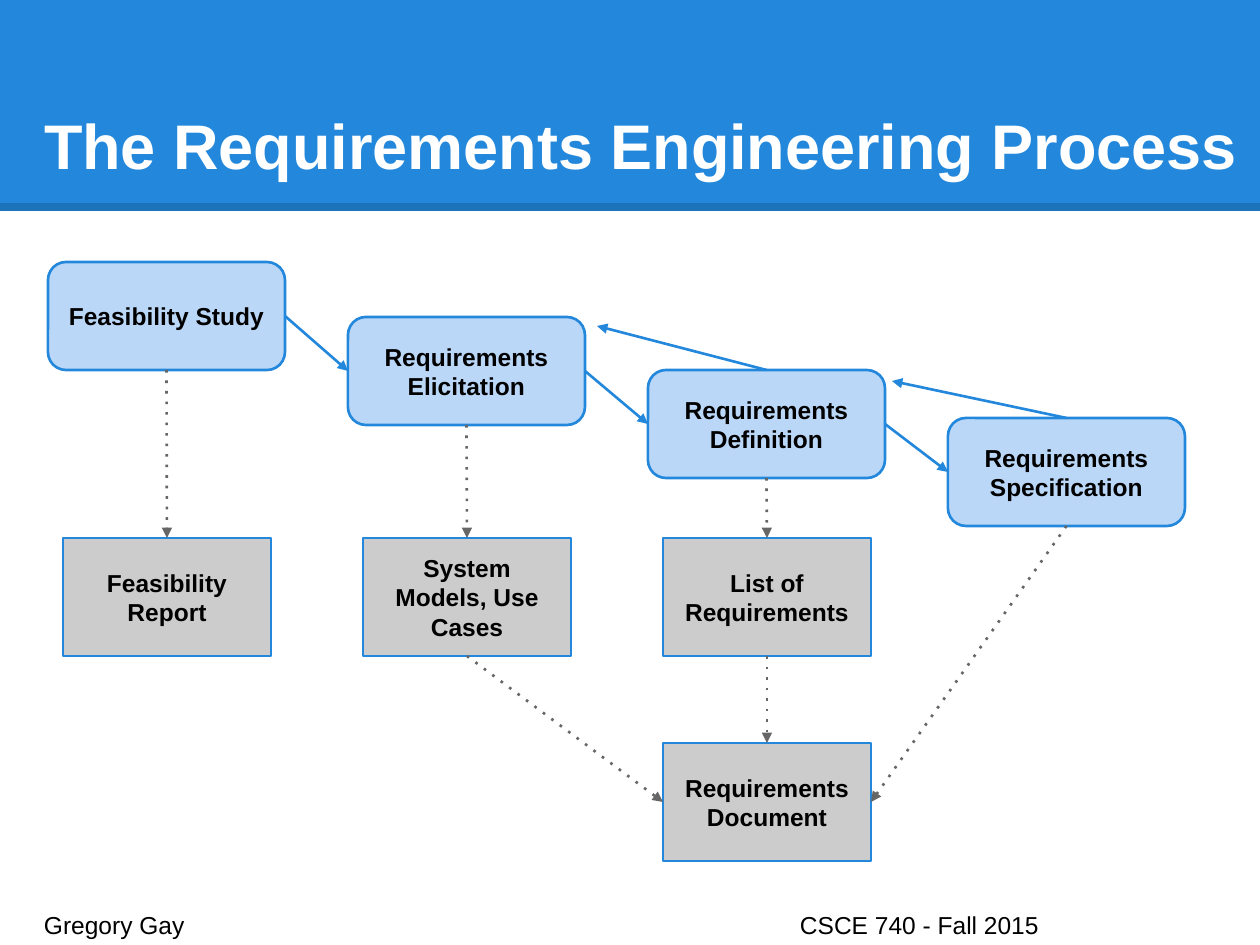
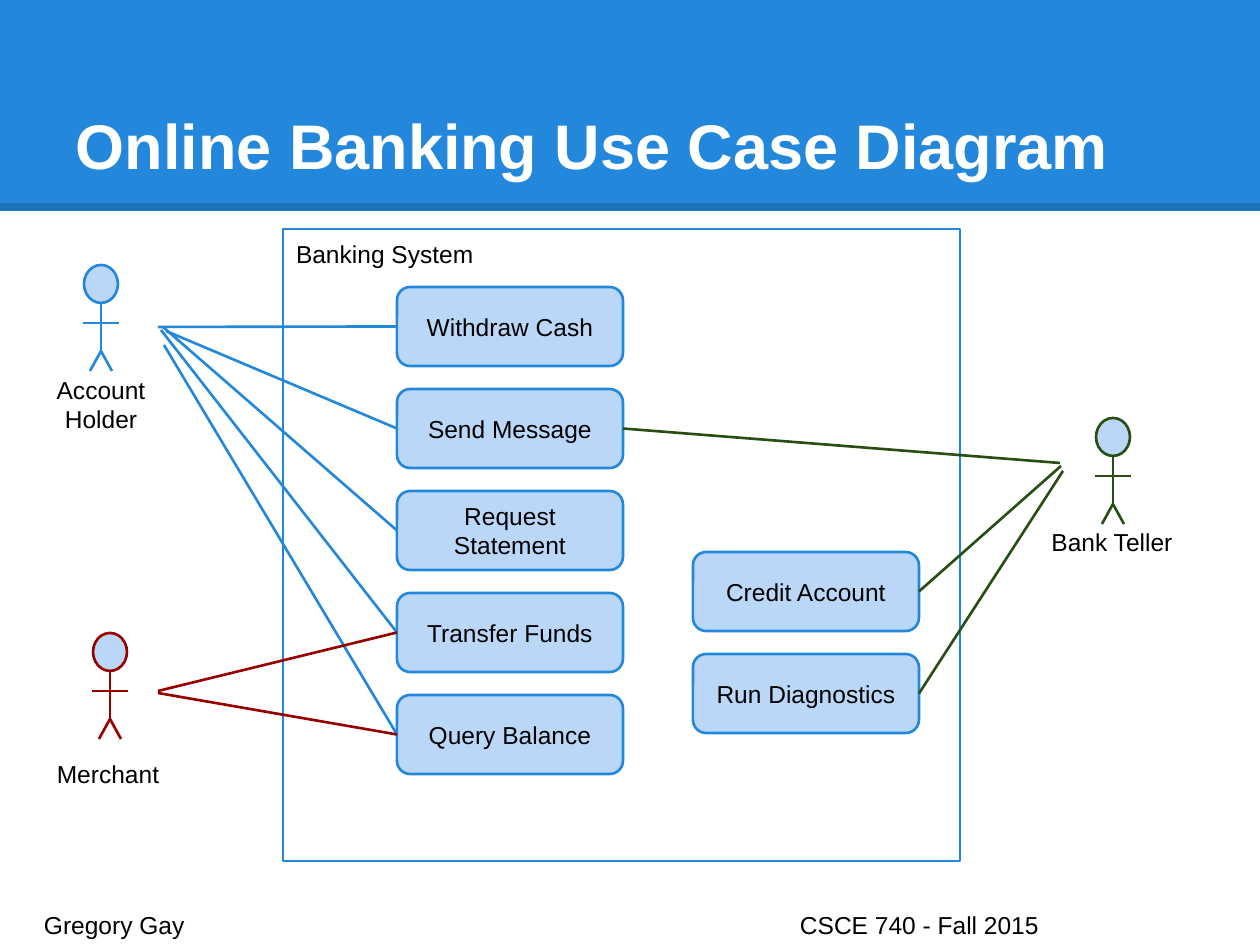
"""Build two lecture slides on requirements engineering as out.pptx."""
import pptx
import pptx.dml.color
import pptx.enum.shapes
import pptx.enum.text
import pptx.oxml.ns
import pptx.util
from lxml import etree

SHAPE = pptx.enum.shapes.MSO_SHAPE
ANCHOR = pptx.enum.text.MSO_ANCHOR
ALIGN = pptx.enum.text.PP_ALIGN

BLUE, PALE, GREY, DARK = "2388DB", "BBD7F8", "CCCCCC", "666666"
BLACK, WHITE, RED, GREEN = "000000", "FFFFFF", "980000", "274E13"
TOP, LEFT, BOTTOM, RIGHT = range(4)


def px(n):
    return pptx.util.Emu(round(n * 914400 / 126))


def rgb(hex_code):
    return pptx.dml.color.RGBColor.from_string(hex_code)


def add_xml(parent, tag, **attrs):
    return etree.SubElement(parent, pptx.oxml.ns.qn(tag), attrs)


def write(tf, text, size=14, color=BLACK, bold=False, align=ALIGN.LEFT,
          anchor=ANCHOR.TOP, top=13, tab=None):
    tf.word_wrap = True
    tf.vertical_anchor = anchor
    tf.margin_left = tf.margin_right = tf.margin_bottom = px(13)
    tf.margin_top = px(top)
    p = tf.paragraphs[0]
    p.alignment = align
    if tab:
        tabs = add_xml(p._p.get_or_add_pPr(), "a:tabLst")
        add_xml(tabs, "a:tab", pos=str(px(tab)), algn="l")
    r = p.add_run()
    r.text = text
    r.font.name = "Arial"
    r.font.size = pptx.util.Pt(size)
    r.font.bold = bold
    r.font.color.rgb = rgb(color)


class Deck:
    def __init__(self):
        self.prs = pptx.Presentation()
        self.prs.slide_width, self.prs.slide_height = px(1260), px(945)
        self.s = None

    def slide(self, title, x, w):
        self.s = self.prs.slides.add_slide(self.prs.slide_layouts[6])
        self.shape(SHAPE.RECTANGLE, 0, 0, 1260, 211, BLUE)
        self.line((0, 207), (1260, 207), BLACK, width=4.5, alpha=15)
        self.text(title, x, 38, w, 157, size=36, color=WHITE, bold=True,
                  anchor=ANCHOR.BOTTOM)
        self.text("Gregory Gay\tCSCE 740 - Fall 2015", 31, 897, 1198, 38, tab=756)

    def text(self, text, x, y, w, h, **fmt):
        sp = self.s.shapes.add_textbox(px(x), px(y), px(w), px(h))
        write(sp.text_frame, text, **fmt)

    def shape(self, kind, x, y, w, h, fill, line=None):
        sp = self.s.shapes.add_shape(kind, px(x), px(y), px(w), px(h))
        sp.shadow.inherit = False
        sp.fill.solid()
        sp.fill.fore_color.rgb = rgb(fill)
        if line:
            sp.line.color.rgb = rgb(line)
            sp.line.width = pptx.util.Pt(1.5)
        else:
            sp.line.fill.background()
        return sp

    def box(self, text, x, y, w, h, kind=SHAPE.ROUNDED_RECTANGLE, fill=PALE, **fmt):
        sp = self.shape(kind, x, y, w, h, fill, BLUE)
        write(sp.text_frame, text,
              **{"align": ALIGN.CENTER, "anchor": ANCHOR.MIDDLE, **fmt})
        return sp

    def line(self, start, end, color=BLUE, width=1.5, arrow=False, dotted=False,
             alpha=None):
        glued = [not isinstance(place[0], int) for place in (start, end)]
        (x1, y1), (x2, y2) = [(0, 0) if g else place
                              for g, place in zip(glued, (start, end))]
        c = self.s.shapes.add_connector(pptx.enum.shapes.MSO_CONNECTOR.STRAIGHT,
                                        px(x1), px(y1), px(x2), px(y2))
        if glued[0]:
            c.begin_connect(*start)
        if glued[1]:
            c.end_connect(*end)
        c.line.color.rgb = rgb(color)
        c.line.width = pptx.util.Pt(width)
        ln = c.line._get_or_add_ln()
        if alpha:
            add_xml(ln[0][0], "a:alpha", val=str(alpha * 1000))
        if dotted:
            add_xml(ln, "a:prstDash", val="dot")
        if arrow:
            add_xml(ln, "a:tailEnd", type="triangle")
        add_xml(c._element.spPr, "a:effectLst")

    def actor(self, name, cx, y, color, label_x, label_y):
        self.shape(SHAPE.OVAL, cx - 17, y, 34, 38, PALE, color)
        hip = (cx, y + 86)
        self.line((cx, y + 38), hip, color)
        for foot in (-11, 11):
            self.line(hip, (cx + foot, y + 106), color)
        self.line((cx - 18, y + 58), (cx + 18, y + 58), color)
        self.text(name, label_x, label_y, 156, 38, align=ALIGN.CENTER)


def process_slide(deck):
    deck.slide("The Requirements Engineering Process", 31, 1230)
    names = ["Feasibility Study", "Requirements Elicitation",
             "Requirements Definition", "Requirements Specification"]
    steps = [deck.box(name, 48 + 300 * i, y, 237, 108, bold=True)
             for i, (name, y) in enumerate(zip(names, (262, 317, 370, 418)))]
    for a, b in zip(steps, steps[1:]):
        deck.line((a, RIGHT), (b, LEFT), arrow=True)
    for step, target in zip(steps[2:], [(597, 326), (892, 381)]):
        deck.line((step, TOP), target, arrow=True)

    def product(name, column, y):
        return deck.box(name, 63 + 300 * column, y, 208, 118,
                        SHAPE.RECTANGLE, GREY, bold=True)

    products = [product(name, i, 538) for i, name in enumerate(
        ["Feasibility Report", "System Models, Use Cases", "List of Requirements"])]
    document = product("Requirements Document", 2, 743)
    flows = [(a, b, TOP) for a, b in zip(steps, products)]
    flows += [(products[1], document, LEFT), (products[2], document, TOP),
              (steps[3], document, RIGHT)]
    for a, b, side in flows:
        deck.line((a, BOTTOM), (b, side), DARK, arrow=True, dotted=True)


def use_case_slide(deck):
    deck.slide("Online Banking Use Case Diagram", 63, 1134)
    deck.box("Banking System", 283, 229, 677, 632, SHAPE.RECTANGLE, WHITE,
             align=ALIGN.LEFT, anchor=ANCHOR.TOP, top=10)
    deck.actor("Account Holder", 101, 265, BLUE, 23, 362)
    deck.actor("Merchant", 110, 633, RED, 30, 746)
    deck.actor("Bank Teller", 1113, 418, GREEN, 1034, 514)

    def use_cases(x, y, names):
        return [deck.box(name, x, y + 102 * i, 226, 79)
                for i, name in enumerate(names)]

    customer = use_cases(397, 287, ["Withdraw Cash", "Send Message",
                                    "Request Statement", "Transfer Funds",
                                    "Query Balance"])
    staff = use_cases(693, 552, ["Credit Account", "Run Diagnostics"])
    holder_ends = [(158, 327), (166, 331), (163, 327), (161, 330), (164, 345)]
    merchant_ends = [(158, 691), (158, 693)]
    teller_ends = [(1060, 463), (1061, 466), (1063, 471)]
    for ends, cases, side, color in [
            (holder_ends, customer, LEFT, BLUE),
            (merchant_ends, customer[3:], LEFT, RED),
            (teller_ends, [customer[1], *staff], RIGHT, GREEN)]:
        for end, case in zip(ends, cases):
            deck.line(end, (case, side), color)


def main():
    deck = Deck()
    process_slide(deck)
    use_case_slide(deck)
    deck.prs.save("out.pptx")


if __name__ == "__main__":
    main()
